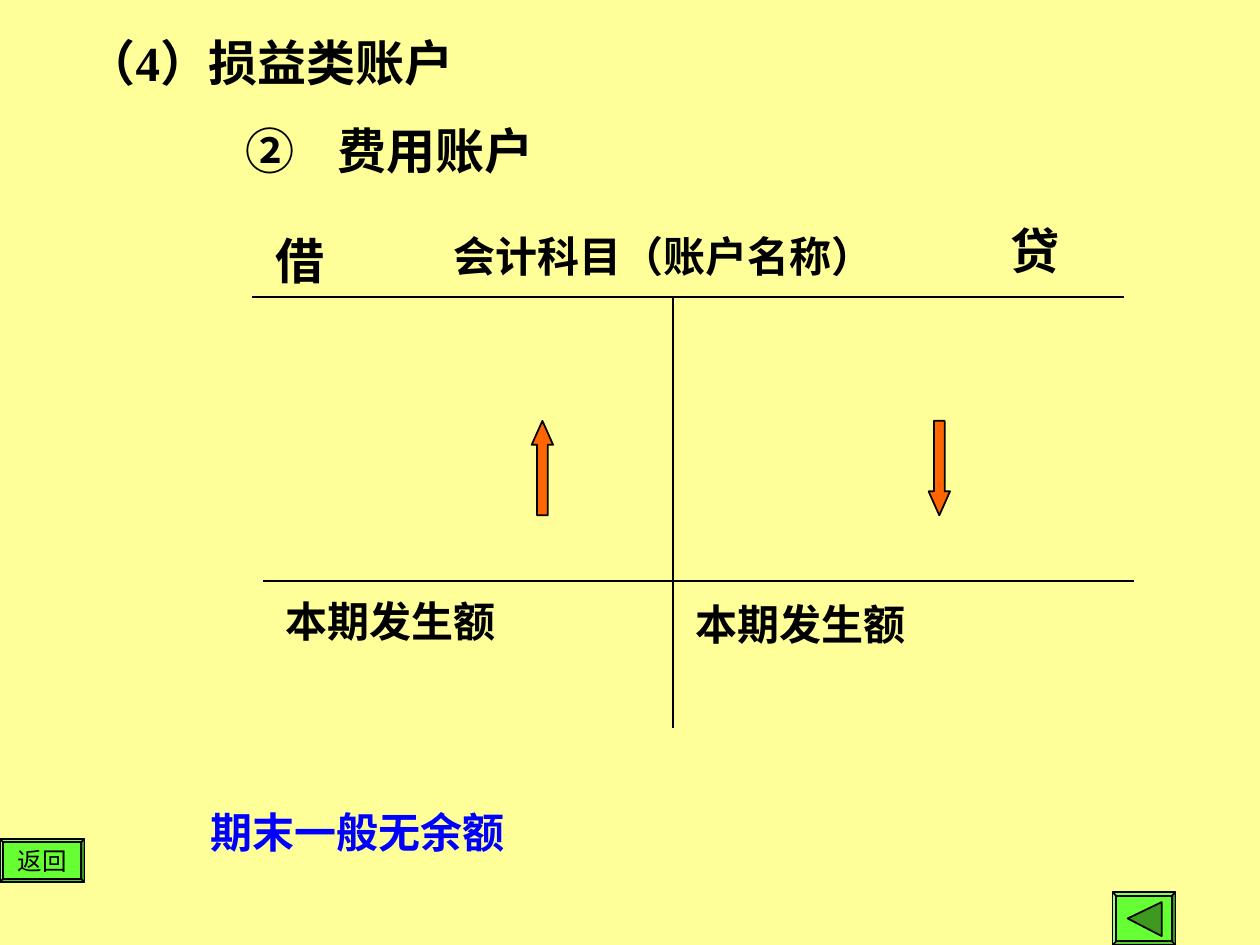
import pptx
import pptx.util
import pptx.dml.color
import pptx.enum.shapes
import pptx.enum.text
import lxml.etree

INKS = {"page": "FFFF99", "text": "000000", "note": "0000FF",
        "arrow": "FF6600", "key": "66FF33", "mark": "3D991F"}
KINDS = pptx.enum.shapes.MSO_SHAPE
A = "{http://schemas.openxmlformats.org/drawingml/2006/main}"

deck = pptx.Presentation()
deck.slide_width = pptx.util.Inches(10)
deck.slide_height = pptx.util.Inches(7.5)
COL = deck.slide_width / 10
ROW = deck.slide_height / 7.5
slide = deck.slides.add_slide(deck.slide_layouts[6])


def ink(name):
    return pptx.dml.color.RGBColor.from_string(INKS[name])


def paint(shape, fill):
    """Fill a shape and give it a thin dark outline without shadow."""
    shape.shadow.inherit = False
    shape.fill.solid()
    shape.fill.fore_color.rgb = ink(fill)
    shape.line.color.rgb = ink("text")
    shape.line.width = pptx.util.Pt(1)


slide.background.fill.solid()
slide.background.fill.fore_color.rgb = ink("page")

# T-account: top rule, centre rule, total rule
for x1, y1, x2, y2 in [(2, 2.36, 8.92, 2.36), (5.34, 2.36, 5.34, 5.78),
                       (2.09, 4.61, 9, 4.61)]:
    rule = slide.shapes.add_connector(
        pptx.enum.shapes.MSO_CONNECTOR.STRAIGHT,
        int(x1 * COL), int(y1 * ROW), int(x2 * COL), int(y2 * ROW))
    rule.line.color.rgb = ink("text")
    rule.line.width = pptx.util.Pt(1)
    lxml.etree.SubElement(rule._element.spPr, A + "effectLst")

# Labels: left, top, width, size, colour, indent, tab stop, runs
ROMAN, SANS = "Times New Roman", "Arial"
labels = [
    (0.59, 0.21, 5.83, 28, "text", 0, 0, [("（4）损益类账户", ROMAN)]),
    (1.85, 0.91, 5.83, 28, "text", 0, 0.73,
     [("②\t费用", SANS), ("账户", ROMAN)]),
    (2.09, 1.78, 0.58, 28, "text", 0, 0, [("借", ROMAN)]),
    (3.5, 1.78, 3.58, 24, "text", 0, 0, [("会计科目（账户名称）", ROMAN)]),
    (7.92, 1.7, 0.58, 28, "text", 0, 0, [("贷", ROMAN)]),
    (2.17, 4.68, 3, 24, "text", 0, 0, [("本期发生额", ROMAN)]),
    (5.42, 4.7, 2.33, 24, "text", 0, 0, [("本期发生额", ROMAN)]),
    (0.98, 6.35, 6.85, 24, "note", 0.59, 0, [("期末一般无余额", ROMAN)]),
]
for left, top, width, size, tone, indent, stop, runs in labels:
    high = 0.57 if size == 28 else 0.5
    box = slide.shapes.add_textbox(int(left * COL), int(top * ROW),
                                   int(width * COL), int(high * ROW))
    box.text_frame.word_wrap = True
    para = box.text_frame.paragraphs[0]
    props = para._p.get_or_add_pPr()
    if indent:
        props.set("marL", str(int(indent * COL)))
    if stop:
        tabs = lxml.etree.SubElement(props, A + "tabLst")
        lxml.etree.SubElement(tabs, A + "tab", pos=str(int(stop * COL)),
                              algn="l")
    for words, face in runs:
        run = para.add_run()
        run.text = words
        run.font.name = face
        run.font.size = pptx.util.Pt(size)
        run.font.bold = True
        run.font.color.rgb = ink(tone)

# Increase on the debit side, decrease on the credit side
for kind, left in [(KINDS.UP_ARROW, 4.22), (KINDS.DOWN_ARROW, 7.37)]:
    arrow = slide.shapes.add_shape(kind, int(left * COL), int(3.34 * ROW),
                                   int(0.17 * COL), int(0.75 * ROW))
    arrow.adjustments[0] = 0.5
    arrow.adjustments[1] = 1.12
    paint(arrow, "arrow")

# Navigation keys
for left, top, width, high, words in [(0, 6.66, 0.67, 0.34, "返回"),
                                      (8.83, 7.08, 0.5, 0.42, "")]:
    key = slide.shapes.add_shape(KINDS.BEVEL, int(left * COL), int(top * ROW),
                                 int(width * COL), int(high * ROW))
    key.adjustments[0] = 0.07
    paint(key, "key")
    if words:
        frame = key.text_frame
        frame.word_wrap = False
        frame.vertical_anchor = pptx.enum.text.MSO_ANCHOR.MIDDLE
        para = frame.paragraphs[0]
        para.alignment = pptx.enum.text.PP_ALIGN.CENTER
        run = para.add_run()
        run.text = words
        run.font.name = ROMAN
        run.font.size = pptx.util.Pt(14)
        run.font.color.rgb = ink("text")

pen = slide.shapes.build_freeform(int(8.95 * COL), int(7.29 * ROW))
pen.add_line_segments([(int(9.22 * COL), int(7.16 * ROW)),
                       (int(9.22 * COL), int(7.43 * ROW))], close=True)
paint(pen.convert_to_shape(), "mark")

deck.save("out.pptx")
